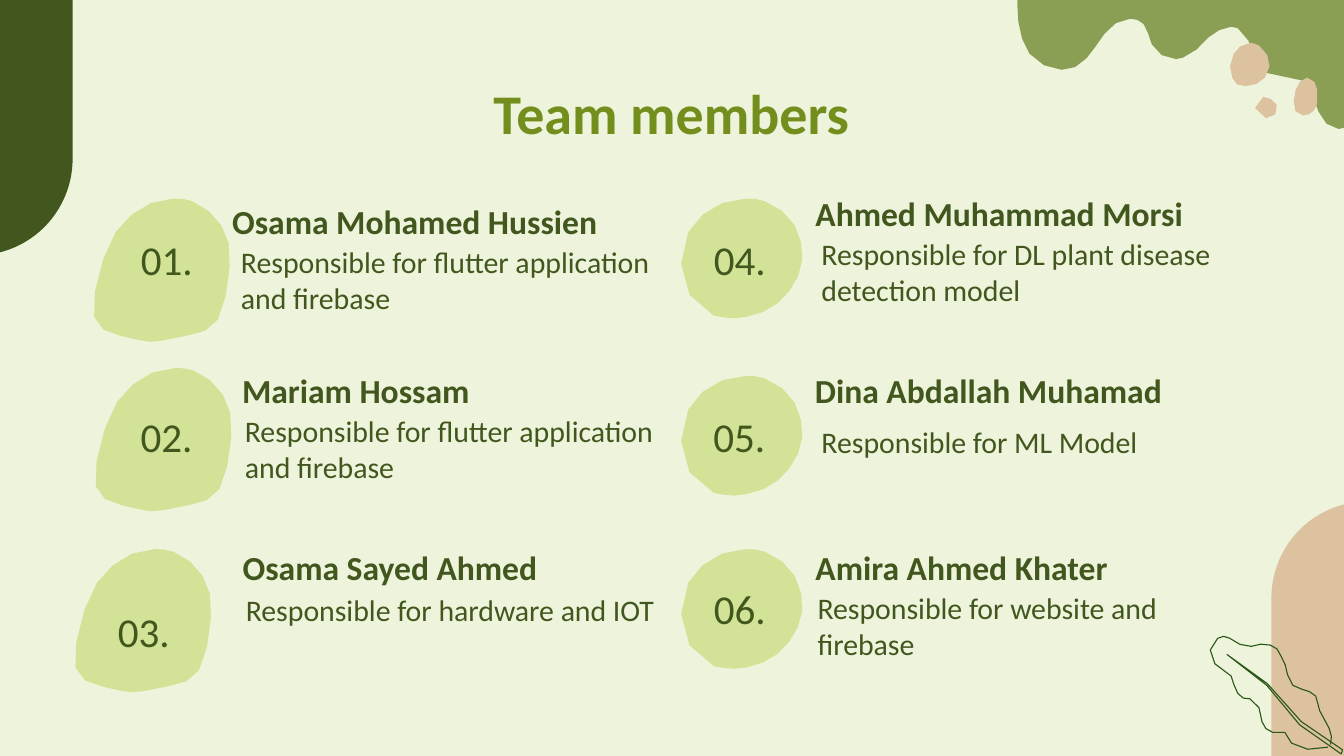
import math

import pptx
import pptx.dml.color
import pptx.enum.shapes
import pptx.enum.text
import pptx.util

Pt = pptx.util.Pt
ALIGN = pptx.enum.text.PP_ALIGN
ANCHOR = pptx.enum.text.MSO_ANCHOR

COLORS = {
    "background": "EEF3DB", "dark": "41571E", "title": "748E1E", "wave": "8A9F53",
    "sand": "DDC29F", "blob": "D2E296", "leaf": "2A5717",
}
OUTLINE_UNIT = 0.72  # points per outline unit

# Outlines: a start point, then lines (end point) and cubic curves
# (two control points and an end point)
TALL_BLOB = [(0, 0), (-18, 0, -33, 11, -43, 25), (-53, 40, -62, 75, -59, 88),
             (-57, 101, -37, 102, -27, 105), (-17, 108, -10, 106, 0, 104),
             (10, 101, 26, 102, 33, 90), (40, 78, 44, 46, 41, 33),
             (38, 19, 27, 7, 14, 2), (9, 0, 5, 0, 0, 0)]
ROUND_BLOB = [(0, 0), (-18, 0, -35, 10, -43, 25), (-54, 46, -48, 78, -24, 87),
              (-19, 88, -14, 89, -9, 89), (-6, 89, -3, 89, 0, 88),
              (13, 86, 25, 79, 32, 69), (40, 59, 44, 46, 41, 33),
              (39, 19, 28, 7, 14, 2), (9, 0, 5, 0, 0, 0)]
WAVE = [(757, 0), (757, 4), (757, 16, 759, 30, 766, 40),
        (772, 47, 781, 52, 790, 52), (793, 52, 797, 52, 800, 50),
        (810, 45, 815, 34, 822, 25), (826, 19, 834, 14, 841, 14),
        (845, 14, 848, 15, 851, 18), (854, 22, 855, 28, 857, 33),
        (860, 40, 868, 44, 875, 44), (877, 44, 879, 44, 880, 43),
        (888, 41, 893, 34, 899, 28), (904, 24, 910, 20, 916, 20),
        (917, 20, 919, 21, 921, 21), (933, 27, 930, 46, 941, 54),
        (949, 59, 961, 55, 969, 60), (976, 65, 978, 75, 981, 83),
        (983, 90, 990, 96, 996, 96), (998, 96, 999, 96, 1001, 95), (1001, 0)]
PEBBLES = [
    [(972, 58), (970, 58, 968, 59, 967, 61), (965, 63, 964, 65, 964, 67),
     (963, 72, 961, 79, 964, 83), (966, 85, 968, 86, 970, 86),
     (971, 86, 973, 86, 974, 85), (977, 84, 979, 81, 980, 77),
     (981, 74, 981, 70, 980, 67), (979, 65, 979, 63, 978, 61),
     (977, 60, 975, 59, 973, 58)],
    [(940, 72), (930, 73, 933, 88, 942, 88), (944, 88, 945, 87, 947, 86),
     (948, 86, 949, 85, 949, 85), (950, 83, 950, 80, 950, 78),
     (948, 75, 944, 72, 940, 72)],
    [(930, 32), (925, 32, 920, 36, 918, 40), (915, 46, 914, 53, 917, 58),
     (918, 63, 922, 64, 927, 64), (932, 64, 938, 62, 941, 58),
     (945, 53, 946, 46, 943, 41), (941, 38, 939, 36, 937, 34),
     (935, 34, 934, 33, 932, 32)],
]
LEAF_EDGE = [(990, 554), (991, 550, 991, 546, 989, 542), (988, 537, 983, 534, 982, 529),
             (981, 526, 981, 521, 979, 518), (976, 515, 973, 514, 969, 513),
             (967, 512, 964, 512, 962, 510), (960, 508, 959, 505, 958, 502),
             (957, 497, 956, 492, 953, 488), (952, 484, 949, 481, 945, 480),
             (940, 478, 936, 480, 931, 481), (924, 482, 921, 478, 915, 475),
             (912, 473, 909, 473, 906, 475), (899, 479, 899, 488, 904, 494),
             (907, 498, 913, 499, 916, 503), (918, 507, 918, 512, 921, 516),
             (924, 520, 926, 520, 930, 520), (938, 521, 937, 531, 939, 537),
             (940, 541, 943, 544, 947, 545), (950, 545, 953, 544, 956, 545),
             (959, 546, 959, 550, 961, 553), (966, 562, 979, 555, 988, 556)]
LEAF_RIB = [(913, 487), (949, 502, 960, 548, 998, 561), (1000, 562, 1001, 559, 999, 558),
            (962, 545, 949, 501, 913, 487)]

# Number, blob, blob start, number place, name, name place, role, role place
MEMBERS = [
    ("01.", TALL_BLOB, (92.9, 106.4), (62, 118), "Osama Mohamed Hussien", (117.3, 94.6),
     "Responsible for flutter application and firebase", (122, 123.3)),
    ("02.", TALL_BLOB, (93.8, 197.2), (61.9, 212.8), "Mariam Hossam", (122.6, 185),
     "Responsible for flutter application and firebase", (124.1, 213.8)),
    ("03.", TALL_BLOB, (82.9, 294.2), (49.7, 317.2), "Osama Sayed Ahmed", (122.9, 280),
     "Responsible for hardware and IOT", (124.6, 309.6)),
    ("04.", ROUND_BLOB, (399.7, 106.4), (369, 118), "Ahmed Muhammad Morsi", (429.8, 90.3),
     "Responsible for DL plant disease detection model", (433, 119.1)),
    ("05.", ROUND_BLOB, (399.7, 201.4), (368.8, 212.8), "Dina Abdallah Muhamad", (429.5, 185),
     "Responsible for ML Model", (433, 219.6)),
    ("06.", ROUND_BLOB, (399.7, 294.2), (369, 305), "Amira Ahmed Khater", (429.8, 280),
     "Responsible for website and firebase", (430.9, 308.9)),
]


def trace(outline):
    """Return points along an outline, with more of them on longer curves."""
    points = [outline[0]]
    for *controls, x3, y3 in outline[1:]:
        x0, y0 = points[-1]
        if controls:
            x1, y1, x2, y2 = controls
            reach = math.dist((x0, y0), (x1, y1)) + math.dist((x2, y2), (x3, y3))
            steps = 1 if reach < 7 else 2 if reach < 20 else 3
            for step in range(1, steps):
                t = step / steps
                a, b, c, d = (1 - t) ** 3, 3 * t * (1 - t) ** 2, 3 * t * t * (1 - t), t ** 3
                points.append((a * x0 + b * x1 + c * x2 + d * x3,
                               a * y0 + b * y1 + c * y2 + d * y3))
        points.append((x3, y3))
    return points


class SlideWriter:
    font = "Calibri"
    inset = Pt(7.2)

    def __init__(self, slide):
        self.slide = slide
        self.paint(slide.background.fill, "background")

    def paint(self, fill, color):
        fill.solid()
        fill.fore_color.rgb = pptx.dml.color.RGBColor.from_string(COLORS[color])

    def arch(self, left, top, color, rotation=0):
        arch = self.slide.shapes.add_shape(
            pptx.enum.shapes.MSO_SHAPE.ROUND_2_SAME_RECTANGLE,
            Pt(left), Pt(top), Pt(106.6), Pt(138.2))
        arch.adjustments[0] = 0.486
        arch.rotation = rotation
        arch.shadow.inherit = False
        self.paint(arch.fill, color)
        arch.line.fill.background()

    def curve(self, outline, fill=None, line=None, origin=(0, 0)):
        points = [(Pt(origin[0] + x * OUTLINE_UNIT), Pt(origin[1] + y * OUTLINE_UNIT))
                  for x, y in trace(outline)]
        builder = self.slide.shapes.build_freeform(*points[0])
        builder.add_line_segments(points[1:], close=fill is not None)
        curve = builder.convert_to_shape()
        curve.shadow.inherit = False
        if fill:
            self.paint(curve.fill, fill)
        else:
            curve.fill.background()
        if line:
            self.paint(curve.line.fill, line)
            curve.line.width = Pt(0.59)
        else:
            curve.line.fill.background()

    def text(self, words, place, width, height, size, color="dark", bold=False,
             align=ALIGN.LEFT, anchor=ANCHOR.TOP):
        left, top = place
        box = self.slide.shapes.add_textbox(Pt(left), Pt(top), Pt(width), Pt(height))
        frame = box.text_frame
        frame.word_wrap = True
        frame.vertical_anchor = anchor
        frame.margin_left = frame.margin_right = self.inset
        frame.margin_top = frame.margin_bottom = self.inset
        paragraph = frame.paragraphs[0]
        paragraph.text = words
        paragraph.alignment = align
        paragraph.font.name = self.font
        paragraph.font.size = Pt(size)
        paragraph.font.bold = bold
        self.paint(paragraph.font.fill, color)


def main():
    deck = pptx.Presentation()
    deck.slide_width, deck.slide_height = Pt(720), Pt(405)
    writer = SlideWriter(deck.slides.add_slide(deck.slide_layouts[6]))

    # Corner decoration
    writer.arch(-67.7, -1.4, "dark", rotation=180)
    writer.arch(681.1, 268.6, "sand")
    writer.curve(WAVE, fill="wave")
    for pebble in PEBBLES:
        writer.curve(pebble, fill="sand")
    for leaf_part in (LEAF_EDGE, LEAF_RIB):
        writer.curve(leaf_part, line="leaf")

    # Blobs behind the numbers
    for _, blob, blob_start, *_ in MEMBERS:
        writer.curve(blob, fill="blob", origin=blob_start)

    # Title
    writer.text("Team members", (56.2, 34.9), 607, 45.4, 30, "title", bold=True,
                align=ALIGN.CENTER)

    # Team members
    for number, _, _, number_place, name, name_place, role, role_place in MEMBERS:
        writer.text(number, number_place, 54.7, 41.8, 22, align=ALIGN.CENTER,
                    anchor=ANCHOR.MIDDLE)
        writer.text(name, name_place, 259.2, 41.8, 18, bold=True, anchor=ANCHOR.BOTTOM)
        writer.text(role, role_place, 238.3, 41.8, 16)

    deck.save("out.pptx")


if __name__ == "__main__":
    main()
